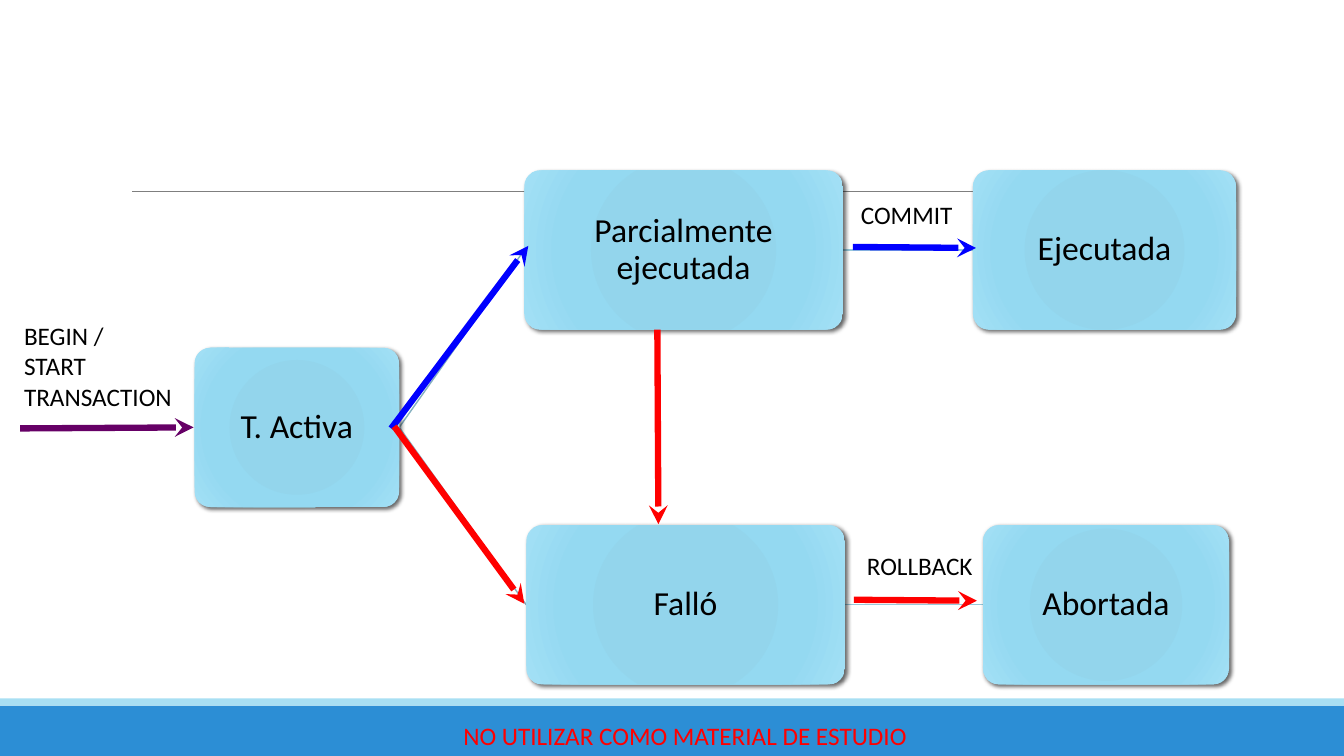
"""Build the slide that shows the states of a transaction."""
from dataclasses import dataclass

from pptx import Presentation
from pptx.dml.color import RGBColor
from pptx.enum.shapes import MSO_CONNECTOR, MSO_SHAPE
from pptx.enum.text import MSO_ANCHOR, PP_ALIGN
from pptx.oxml import parse_xml
from pptx.oxml.ns import nsdecls, qn
from pptx.oxml.xmlchemy import OxmlElement
from pptx.util import Inches, Pt


@dataclass(frozen=True)
class Theme:
    """Colours, type sizes and line widths of the slide."""
    font: str = "Calibri"
    state_size: int = 24
    label_size: int = 18
    text: str = "000000"
    warning: str = "FF0000"
    band: str = "2C8ED5"
    band_edge: str = "A8DFF3"
    rule: str = "7F7F7F"
    branch: str = "85B0C0"
    link: str = "97C9DB"
    start: str = "660066"
    success: str = "0000FF"
    failure: str = "FF0000"
    state_stops: tuple = ((0, "90D4EB"), (34, "93D5EC"), (70, "94D9F1"), (100, "A3E0F6"))
    arrow_width: float = 4.5
    link_width: float = 1
    rule_width: float = 0.75


THEME = Theme()
COLUMNS, ROWS = 13.33, 7.5
CELL = Inches(1)
STATE_HEIGHT = 1.58
TOP, MIDDLE, BOTTOM = (1.69 + 1.76 * level for level in range(3))
STATES = {
    "T. Activa": (1.93, MIDDLE, 2.03),
    "Parcialmente ejecutada": (5.2, TOP, 3.16),
    "Ejecutada": (9.65, TOP, 2.61),
    "Falló": (5.22, BOTTOM, 3.16),
    "Abortada": (9.75, BOTTOM, 2.44),
}
LINKS = (
    ("T. Activa", "Parcialmente ejecutada", THEME.branch),
    ("T. Activa", "Falló", THEME.branch),
    ("Parcialmente ejecutada", "Ejecutada", THEME.link),
    ("Falló", "Abortada", THEME.link),
)
ARROWS = (
    ((0.2, 4.25), (1.92, 4.24), THEME.start),
    ((3.88, 4.25), (5.24, 2.44), THEME.success),
    ((3.91, 4.23), (5.2, 5.99), THEME.failure),
    ((8.46, 2.45), (9.68, 2.46), THEME.success),
    ((8.47, 5.95), (9.69, 5.96), THEME.failure),
    ((6.52, 3.27), (6.53, 5.2), THEME.failure),
)
LABELS = (
    (("BEGIN /", "START TRANSACTION"), (0.14, 3.13, 2.06, 1.01)),
    (("COMMIT",), (8.44, 1.93, 1.13, 0.4)),
    (("ROLLBACK",), (8.5, 5.41, 1.27, 0.4)),
)


def cells(*lengths):
    """Convert grid columns or rows into slide lengths."""
    return [int(length * CELL) for length in lengths]


def write_text(shape, lines, *, size=THEME.label_size, color=THEME.text, align=PP_ALIGN.LEFT,
               anchor=MSO_ANCHOR.TOP, margins=(0.1, 0.05), spacing=None):
    """Fill a shape with one formatted paragraph per line."""
    frame = shape.text_frame
    frame.word_wrap = True
    frame.vertical_anchor = anchor
    frame.margin_left = frame.margin_right = Inches(margins[0])
    frame.margin_top = frame.margin_bottom = Inches(margins[1])
    frame.text = "\n".join(lines)
    for paragraph in frame.paragraphs:
        paragraph.alignment = align
        paragraph.line_spacing = spacing
        font = paragraph.runs[0].font
        font.name, font.size = THEME.font, Pt(size)
        font.color.rgb = RGBColor.from_string(color)


def add_label(slide, lines, area, **text_format):
    """Add a text box."""
    write_text(slide.shapes.add_textbox(*cells(*area)), lines, **text_format)


def add_band(slide, top, height, color):
    """Add a full-width band."""
    band = slide.shapes.add_shape(MSO_SHAPE.RECTANGLE, *cells(0, top, COLUMNS, height))
    band.shadow.inherit = False
    band.fill.solid()
    band.fill.fore_color.rgb = RGBColor.from_string(color)
    band.line.fill.background()


def add_line(slide, start, end, color, width, arrow=False):
    """Add a straight line, with an arrowhead at its end if asked."""
    line = slide.shapes.add_connector(MSO_CONNECTOR.STRAIGHT, *cells(*start, *end))
    line.line.color.rgb = RGBColor.from_string(color)
    line.line.width = Pt(width)
    properties = line._element.spPr
    if arrow:
        head = OxmlElement("a:tailEnd")
        head.set("type", "stealth")
        properties.find(qn("a:ln")).append(head)
    properties.append(OxmlElement("a:effectLst"))


def radial_fill():
    """Return the gradient that spreads from the centre of a state."""
    stops = "".join(
        f'<a:gs pos="{share * 1000}"><a:srgbClr val="{color}"/></a:gs>'
        for share, color in THEME.state_stops)
    return parse_xml(
        f'<a:gradFill {nsdecls("a")} rotWithShape="1"><a:gsLst>{stops}</a:gsLst>'
        '<a:path path="circle"><a:fillToRect l="50000" t="50000" r="50000" b="50000"/>'
        '</a:path></a:gradFill>')


def soft_shadow():
    """Return the shadow that falls to the lower right of a state."""
    return parse_xml(
        f'<a:outerShdw {nsdecls("a")} blurRad="{Pt(3)}" dist="{Pt(2)}" dir="2700000" '
        'algn="ctr" rotWithShape="0"><a:srgbClr val="000000"><a:alpha val="60000"/>'
        '</a:srgbClr></a:outerShdw>')


def add_state(slide, name, left, top, width):
    """Add the rounded box of one transaction state."""
    state = slide.shapes.add_shape(
        MSO_SHAPE.ROUNDED_RECTANGLE, *cells(left, top, width, STATE_HEIGHT))
    state.adjustments[0] = 0.1
    state.fill.background()
    state.line.fill.background()
    state.shadow.inherit = False
    properties = state._element.spPr
    properties.replace(properties.find(qn("a:noFill")), radial_fill())
    properties.find(qn("a:effectLst")).append(soft_shadow())
    write_text(state, [name], size=THEME.state_size, align=PP_ALIGN.CENTER,
               anchor=MSO_ANCHOR.MIDDLE, margins=(0.02, 0.02), spacing=0.9)


def add_link(slide, source, target, color):
    """Join the right side of one state to the left side of another."""
    source_left, source_top, source_width = STATES[source]
    target_left, target_top, _ = STATES[target]
    half = STATE_HEIGHT / 2
    add_line(slide, (source_left + source_width, source_top + half),
             (target_left, target_top + half), color, THEME.link_width)


def main():
    """Build and save the slide."""
    presentation = Presentation()
    presentation.slide_width, presentation.slide_height = cells(COLUMNS, ROWS)
    slide = presentation.slides.add_slide(presentation.slide_layouts[6])
    add_band(slide, 7, 0.5, THEME.band)
    add_band(slide, 6.93, 0.07, THEME.band_edge)
    add_line(slide, (1.31, 1.9), (12.21, 1.9), THEME.rule, THEME.rule_width)
    add_label(slide, ["NO UTILIZAR COMO MATERIAL DE ESTUDIO"], (4.16, 7.1, 5.27, 0.4),
              color=THEME.warning, align=PP_ALIGN.CENTER, anchor=MSO_ANCHOR.MIDDLE)
    for link in LINKS:
        add_link(slide, *link)
    for name, place in STATES.items():
        add_state(slide, name, *place)
    for start, end, color in ARROWS:
        add_line(slide, start, end, color, THEME.arrow_width, arrow=True)
    for lines, area in LABELS:
        add_label(slide, lines, area)
    presentation.save("out.pptx")


if __name__ == "__main__":
    main()
